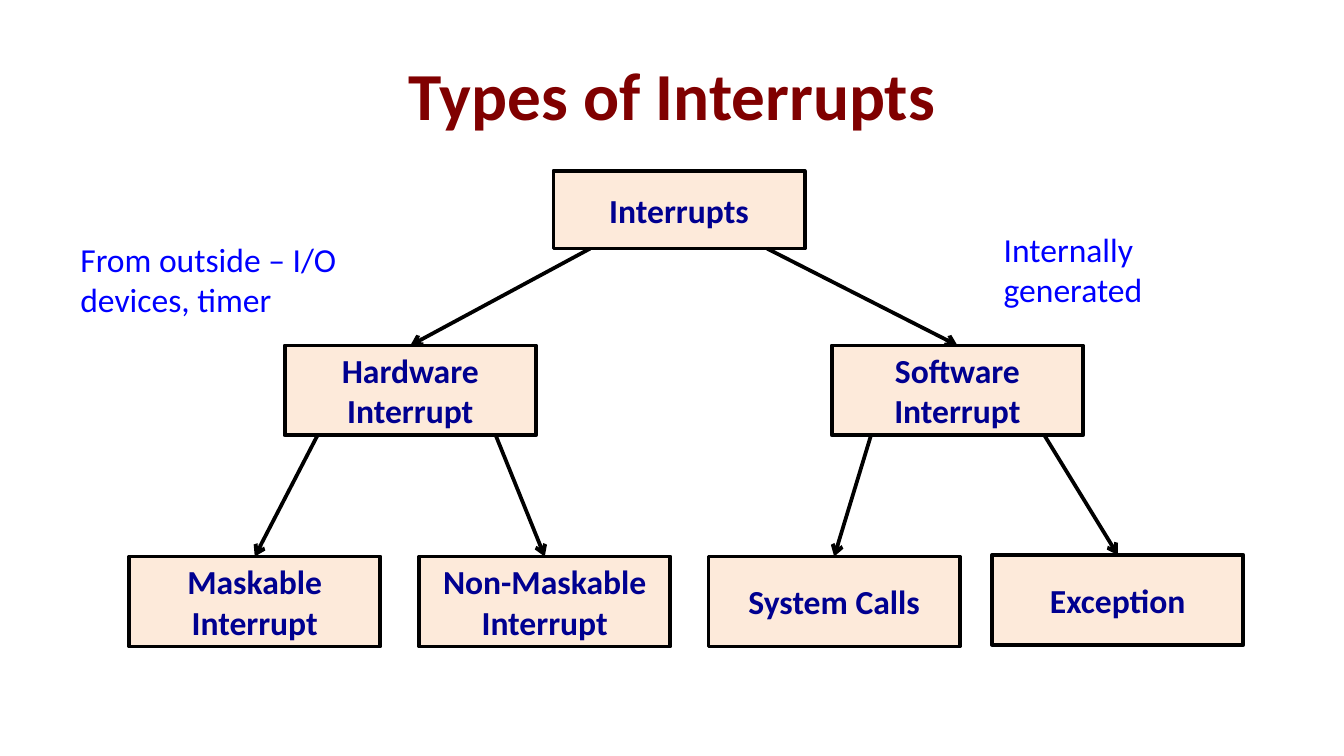
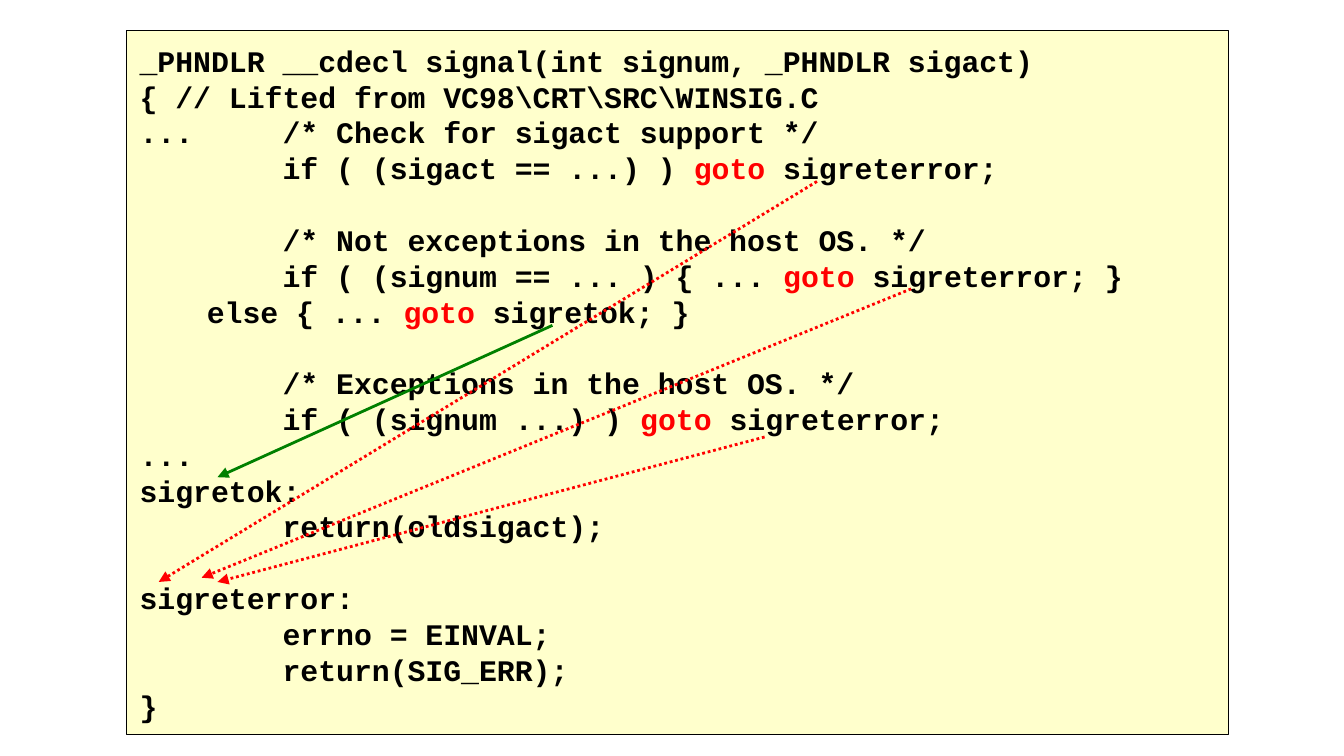
"""Build two slides: a tree of interrupt types and a code listing with goto arrows."""
from lxml import etree
from pptx import Presentation
from pptx.dml.color import RGBColor
from pptx.enum.dml import MSO_LINE
from pptx.enum.shapes import MSO_CONNECTOR, MSO_SHAPE
from pptx.enum.text import MSO_ANCHOR, PP_ALIGN
from pptx.oxml.ns import qn
from pptx.util import Cm, Pt

RECTANGLE = MSO_SHAPE.RECTANGLE
STRAIGHT = MSO_CONNECTOR.STRAIGHT
DOTTED = MSO_LINE.ROUND_DOT
MIDDLE = MSO_ANCHOR.MIDDLE
LEFT, CENTER = PP_ALIGN.LEFT, PP_ALIGN.CENTER

BLACK, RED, GREEN, BLUE = "000000", "FF0000", "008000", "0000FF"
MAROON, NAVY, PEACH, CREAM = "800000", "000090", "FDEADA", "FFFFCC"
BODY_FONT, CODE_FONT = "Calibri", "Courier New"
CODE_LINE = Pt(19.2)


def color(value):
    return RGBColor.from_string(value)


def add_arrow(slide, start, end, line_color, width, head):
    arrow = slide.shapes.add_connector(STRAIGHT, *[Cm(value) for value in start + end])
    arrow.line.color.rgb = color(line_color)
    arrow.line.width = Pt(width)
    etree.SubElement(arrow.line._get_or_add_ln(), qn("a:tailEnd"), type=head)
    etree.SubElement(arrow._element.spPr, qn("a:effectLst"))
    return arrow


presentation = Presentation()
presentation.slide_width, presentation.slide_height = Cm(25.4), Cm(14.29)
blank = presentation.slide_layouts[6]

slide = presentation.slides.add_slide(blank)

labels = [
    ("Types of Interrupts", 1.27, 0.58, 22.86, 2.39, 36, MAROON, CENTER),
    ("From outside – I/O devices, timer", 1.27, 4.39, 5.41, 1.8, 18, BLUE, LEFT),
    ("Internally generated", 18.72, 4.2, 3.99, 1.8, 18, BLUE, LEFT),
]
for text, left, top, width, height, size, text_color, alignment in labels:
    label = slide.shapes.add_textbox(Cm(left), Cm(top), Cm(width), Cm(height))
    label.text_frame.word_wrap = True
    paragraph = label.text_frame.paragraphs[0]
    paragraph.text = text
    paragraph.alignment = alignment
    paragraph.font.name = BODY_FONT
    paragraph.font.size = Pt(size)
    paragraph.font.bold = text_color == MAROON
    paragraph.font.color.rgb = color(text_color)
    if text_color == MAROON:
        label.text_frame.vertical_anchor = MIDDLE

boxes = {}
nodes = [
    ("Interrupts", 10.46, 3.23, 1.47),
    ("Hardware Interrupt", 5.38, 6.53, 1.7),
    ("Software Interrupt", 15.72, 6.53, 1.7),
    ("Maskable Interrupt", 2.44, 10.52, 1.7),
    ("Non-Maskable Interrupt", 7.92, 10.52, 1.7),
    ("System Calls", 13.39, 10.52, 1.7),
    ("Exception", 18.75, 10.49, 1.7),
]
for text, left, top, height in nodes:
    box = slide.shapes.add_shape(RECTANGLE, Cm(left), Cm(top), Cm(4.75), Cm(height))
    box.shadow.inherit = False
    box.fill.solid()
    box.fill.fore_color.rgb = color(PEACH)
    box.line.color.rgb = color(BLACK)
    box.line.width = Pt(2)
    box.text_frame.word_wrap = True
    box.text_frame.vertical_anchor = MIDDLE
    paragraph = box.text_frame.paragraphs[0]
    paragraph.text = text
    paragraph.alignment = CENTER
    paragraph.font.name = BODY_FONT
    paragraph.font.size = Pt(18)
    paragraph.font.bold = True
    paragraph.font.color.rgb = color(NAVY)
    boxes[text] = box

branches = [
    ("Interrupts", 11.15, "Hardware Interrupt"),
    ("Interrupts", 14.5, "Software Interrupt"),
    ("Hardware Interrupt", 6, "Maskable Interrupt"),
    ("Hardware Interrupt", 9.37, "Non-Maskable Interrupt"),
    ("Software Interrupt", 16.46, "System Calls"),
    ("Software Interrupt", 19.74, "Exception"),
]
for parent, start_left, child in branches:
    bottom = (boxes[parent].top + boxes[parent].height) / Cm(1)
    branch = add_arrow(slide, (start_left, bottom), (start_left, bottom), BLACK, 2, "arrow")
    branch.end_connect(boxes[child], 0)

slide = presentation.slides.add_slide(blank)

code = r"""_PHNDLR __cdecl signal(int signum, _PHNDLR sigact)
{ // Lifted from VC98\CRT\SRC\WINSIG.C
...     /* Check for sigact support */
        if ( (sigact == ...) ) goto sigreterror;

        /* Not exceptions in the host OS. */
        if ( (signum == ... ) { ... goto sigreterror; }
	else { ... goto sigretok; }

        /* Exceptions in the host OS. */
        if ( (signum ...) ) goto sigreterror;
...
sigretok:
        return(oldsigact);

sigreterror:
        errno = EINVAL;
        return(SIG_ERR);
}"""

panel = slide.shapes.add_shape(RECTANGLE, Cm(2.39), Cm(0.58), Cm(20.83), Cm(13.31))
panel.shadow.inherit = False
panel.fill.solid()
panel.fill.fore_color.rgb = color(CREAM)
panel.line.color.rgb = color(BLACK)
panel.line.width = Pt(0.75)
frame = panel.text_frame
frame.word_wrap = False
frame.vertical_anchor = MIDDLE
paragraph = frame.paragraphs[0]
for block_number, block in enumerate(code.split("\n\n")):
    for line_number, line in enumerate(block.split("\n")):
        if block_number or line_number:
            paragraph = frame.add_paragraph()
        if line.startswith("\t"):
            tabs = etree.SubElement(paragraph._p.get_or_add_pPr(), qn("a:tabLst"))
            etree.SubElement(tabs, qn("a:tab"), pos=str(Cm(1.27)), algn="l")
        paragraph.alignment = LEFT
        paragraph.line_spacing = CODE_LINE
        if block_number and not line_number:
            paragraph.space_before = CODE_LINE
        paragraph.font.name = CODE_FONT
        paragraph.font.size = Pt(16)
        paragraph.font.bold = True
        paragraph.font.color.rgb = color(BLACK)
        for part in filter(None, line.partition("goto ")):
            run = paragraph.add_run()
            run.text = part
            if part == "goto ":
                run.font.color.rgb = color(RED)

jumps = [
    ((14.45, 8.26), (4.11, 11), RED),
    ((17.22, 5.46), (3.81, 10.92), RED),
    ((15.44, 3.43), (3, 11), RED),
    ((10.44, 6.15), (4.11, 9.02), GREEN),
]
for start, end, jump_color in jumps:
    jump = add_arrow(slide, start, end, jump_color, 1.5, "triangle")
    if jump_color == RED:
        jump.line.dash_style = DOTTED

presentation.save("out.pptx")
